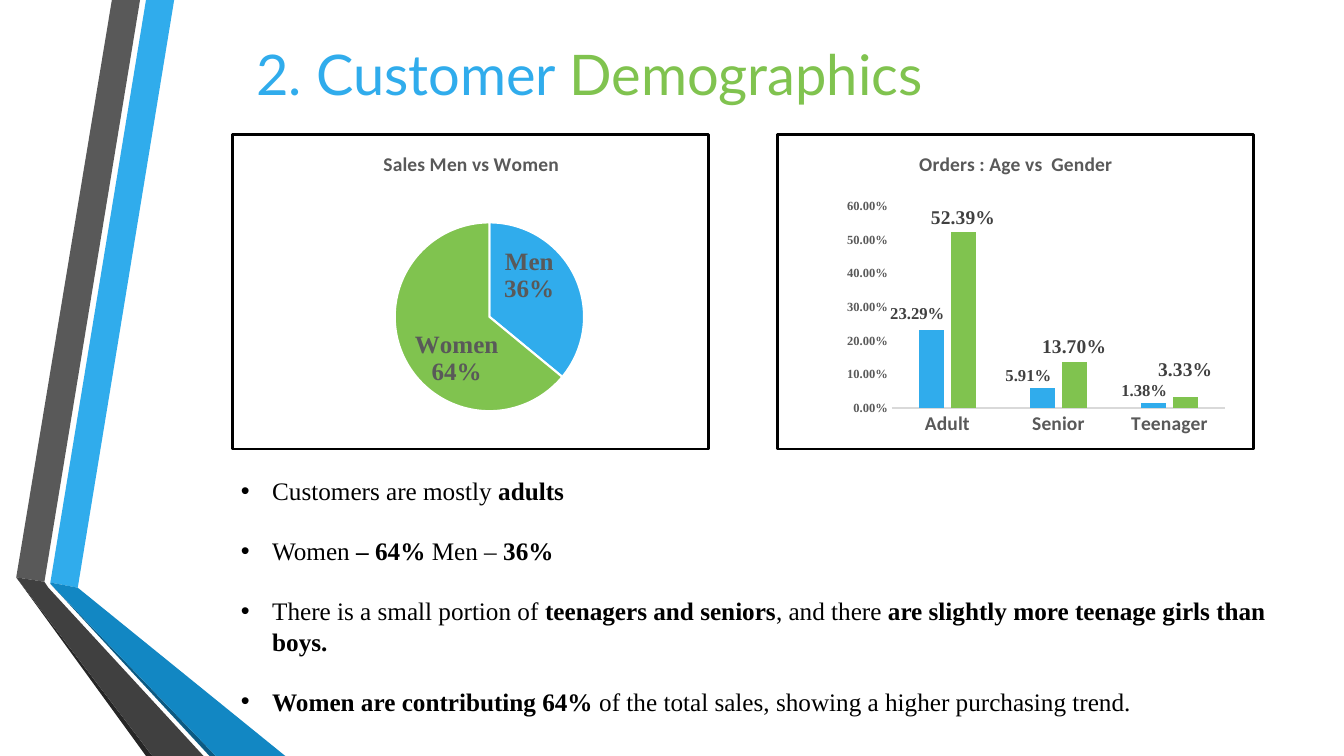
from copy import deepcopy

from lxml import etree
from pptx import Presentation
from pptx.chart.data import CategoryChartData
from pptx.dml.color import RGBColor
from pptx.enum.chart import XL_CHART_TYPE, XL_LABEL_POSITION, XL_TICK_MARK
from pptx.enum.text import MSO_ANCHOR, PP_ALIGN
from pptx.oxml import parse_xml
from pptx.oxml.ns import nsdecls, qn
from pptx.util import Cm, Pt

PIE, COLUMNS = XL_CHART_TYPE.PIE, XL_CHART_TYPE.COLUMN_CLUSTERED
OUTSIDE = XL_LABEL_POSITION.OUTSIDE_END
NO_TICK = XL_TICK_MARK.NONE

BLUE, GREEN, GREY = "30ACEC", "80C34F", "595959"
SERIF, SANS = "Times New Roman", "Calibri"

# Ribbon corners in hundredths of a centimetre
RIBBONS = [
    (BLUE, [(127, 1468), (196, 1481), (439, 0), (368, 0)]),
    (GREY, [(353, 0), (282, 0), (41, 1455), (112, 1466)]),
    ("262626", [(41, 1455), (368, 1905), (384, 1905)]),
    ("0C5A82", [(127, 1471), (528, 1905), (544, 1905)]),
    ("1287C3", [(127, 1471), (544, 1905), (719, 1905), (196, 1481), (127, 1468)]),
    ("404040", [(513, 1905), (122, 1481), (112, 1466), (41, 1455), (384, 1905)]),
]
HEADING = [("2. Customer ", BLUE), ("Demographics", GREEN)]
# Each finding is a list of (text, bold)
FINDINGS = [
    [("Customers are mostly ", False), ("adults", True)],
    [("Women ", False), ("– 64% ", True), ("Men – ", False), ("36%", True)],
    [("There is a small portion of ", False), ("teenagers and seniors", True),
     (", and there ", False), ("are slightly more teenage girls than boys.", True)],
    [("Women are contributing 64%", True),
     (" of the total sales, showing a higher purchasing trend.", False)],
]
# Label shifts and layouts are fractions of the chart's size
SALES = {
    "kind": PIE, "left": 5.82, "title": "Sales Men vs Women", "title_at": (0.31, 0.04),
    "plot": (0.34, 0.28, 0.4, 0.6), "categories": ["Men", "Women"], "format": "General",
    "series": [{"values": [36, 64], "size": 18, "color": GREY,
                "shifts": {0: (-0.16, 0.09), 1: (0.21, -0.09)}}],
}
ORDERS = {
    "kind": COLUMNS, "left": 19.56, "title": "Orders : Age vs  Gender", "title_at": (0.29, 0.04),
    "plot": (0.24, 0.23, 0.7, 0.64), "categories": ["Adult", "Senior", "Teenager"],
    "format": "0.00%",
    "series": [
        {"values": [0.2329, 0.0591, 0.0138], "size": 12, "color": "404040",
         "shifts": {0: (-0.03, -0.01), 1: (-0.03, 0), 2: (-0.02, 0)}},
        {"values": [0.5239, 0.137, 0.0333], "size": 14, "color": "404040",
         "shifts": {2: (0, -0.04)}},
    ],
}
CHART_TOP, CHART_WIDTH, CHART_HEIGHT = 3.35, 12.07, 8.0
LINE_PITCH = 21.5


def rgb(color):
    return RGBColor.from_string(color)


def paint(fill, color):
    fill.solid()
    fill.fore_color.rgb = rgb(color)


def style(font, name, size, color, bold=False):
    for key, value in {"name": name, "size": Pt(size), "bold": bold}.items():
        setattr(font, key, value)
    font.color.rgb = rgb(color)


def layout(**values):
    """Return a c:layout element holding the given manual values in order."""
    inner = "".join(f'<c:{tag} val="{value}"/>' for tag, value in values.items())
    return parse_xml(f'<c:layout {nsdecls("c")}><c:manualLayout>{inner}'
                     '</c:manualLayout></c:layout>')


def drop_layout(parent):
    for old in parent.findall(qn("c:layout")):
        parent.remove(old)


def add_labels(series, content, number_format, is_pie):
    labels = series.data_labels
    style(labels.font, SERIF, content["size"], content["color"], True)
    formats = {"show_value": not is_pie, "show_percentage": is_pie,
               "show_category_name": is_pie, "position": OUTSIDE}
    if not is_pie:
        formats.update(number_format=number_format, number_format_is_linked=False)
    for key, value in formats.items():
        setattr(labels, key, value)
    root = labels._element
    if is_pie:
        separator = parse_xml(f'<c:separator {nsdecls("c")}>\n</c:separator>')
        root.find(qn("c:showBubbleSize")).addnext(separator)
    for leader_lines in root.findall(qn("c:showLeaderLines")):
        leader_lines.set("val", "0")
    shared = [part for part in root if part.tag != qn("c:showLeaderLines")]
    for place, (index, (x, y)) in enumerate(content["shifts"].items()):
        label = parse_xml(f'<c:dLbl {nsdecls("c")}><c:idx val="{index}"/></c:dLbl>')
        label.append(layout(x=x, y=y))
        label.extend([deepcopy(part) for part in shared])
        root.insert(place, label)


def add_framed_chart(slide, content):
    is_pie = content["kind"] == PIE
    data = CategoryChartData(number_format=content["format"])
    data.categories = content["categories"]
    for number, series in enumerate(content["series"], 1):
        data.add_series(f"Series {number}", series["values"])
    chart = slide.shapes.add_chart(
        content["kind"], Cm(content["left"]), Cm(CHART_TOP), Cm(CHART_WIDTH),
        Cm(CHART_HEIGHT), data).chart
    style(chart.font, SANS, 10, "000000", True)
    chart.has_legend = False

    title = chart.chart_title
    title.text_frame.text = content["title"]
    style(title.text_frame.paragraphs[0].runs[0].font, SANS, 14, GREY, True)
    drop_layout(title._element)
    x, y = content["title_at"]
    title._element.find(qn("c:tx")).addnext(layout(xMode="edge", yMode="edge", x=x, y=y))

    root = chart._chartSpace
    plot_area = root.chart.plotArea
    drop_layout(plot_area)
    x, y, w, h = content["plot"]
    plot_area.insert(0, layout(layoutTarget="inner", xMode="edge", yMode="edge",
                               x=x, y=y, w=w, h=h))
    root.chart.addnext(parse_xml(
        f'<c:spPr {nsdecls("c", "a")}><a:solidFill><a:srgbClr val="FFFFFF"/></a:solidFill>'
        f'<a:ln w="{Pt(2)}"><a:solidFill><a:srgbClr val="000000"/></a:solidFill></a:ln></c:spPr>'))

    plot = chart.plots[0]
    plot.vary_by_categories = is_pie
    for series, part, color in zip(plot.series, content["series"], (BLUE, GREEN)):
        if is_pie:
            for index, slice_color in enumerate((BLUE, GREEN)):
                point = series.points[index].format
                paint(point.fill, slice_color)
                point.line.color.rgb = rgb("FFFFFF")
                point.line.width = Pt(1.5)
        else:
            paint(series.format.fill, color)
        add_labels(series, part, content["format"], is_pie)
    return chart


def format_axes(chart):
    plot = chart.plots[0]
    plot.gap_width, plot.overlap = 219, -27
    ages, shares = chart.category_axis, chart.value_axis
    for axis in (ages, shares):
        axis.has_major_gridlines = False
        axis.major_tick_mark = axis.minor_tick_mark = NO_TICK
    style(ages.tick_labels.font, SANS, 14, GREY, True)
    style(shares.tick_labels.font, SERIF, 9, GREY, True)
    ages.format.line.color.rgb = rgb("D9D9D9")
    ages.format.line.width = Pt(0.75)
    shares.format.line.fill.background()
    shares.minimum_scale, shares.maximum_scale, shares.major_unit = 0, 0.6, 0.1
    shares.tick_labels.number_format = "0.00%"
    shares.tick_labels.number_format_is_linked = False


def add_text(slide, left, top, width, height):
    frame = slide.shapes.add_textbox(Cm(left), Cm(top), Cm(width), Cm(height)).text_frame
    frame.word_wrap = True
    return frame


def main():
    deck = Presentation()
    deck.slide_width, deck.slide_height = Cm(33.87), Cm(19.05)
    slide = deck.slides.add_slide(deck.slide_layouts[6])

    for color, corners in RIBBONS:
        builder = slide.shapes.build_freeform(*corners[0], scale=Cm(0.01))
        builder.add_line_segments(corners[1:], close=True)
        ribbon = builder.convert_to_shape()
        ribbon.shadow.inherit = False
        paint(ribbon.fill, color)
        ribbon.line.fill.background()

    heading = add_text(slide, 0.25, 0, 29.21, 3.68)
    heading.vertical_anchor = MSO_ANCHOR.MIDDLE
    heading.paragraphs[0].alignment = PP_ALIGN.CENTER
    for text, color in HEADING:
        run = heading.paragraphs[0].add_run()
        run.text = text
        style(run.font, "Lato", 40, color)

    findings = add_text(slide, 5.82, 11.86, 26.77, 6.43)
    for number, pieces in enumerate(FINDINGS):
        finding = findings.add_paragraph() if number else findings.paragraphs[0]
        finding.line_spacing = finding.space_after = Pt(LINE_PITCH)
        properties = finding._p.get_or_add_pPr()
        properties.set("marL", str(Cm(0.79)))
        properties.set("indent", str(-Cm(0.79)))
        etree.SubElement(properties, qn("a:buFont"), typeface="Arial")
        etree.SubElement(properties, qn("a:buChar"), char="•")
        for text, bold in pieces:
            run = finding.add_run()
            run.text = text
            style(run.font, SERIF, 18, "000000", bold)

    add_framed_chart(slide, SALES)
    format_axes(add_framed_chart(slide, ORDERS))
    deck.save("out.pptx")


if __name__ == "__main__":
    main()
